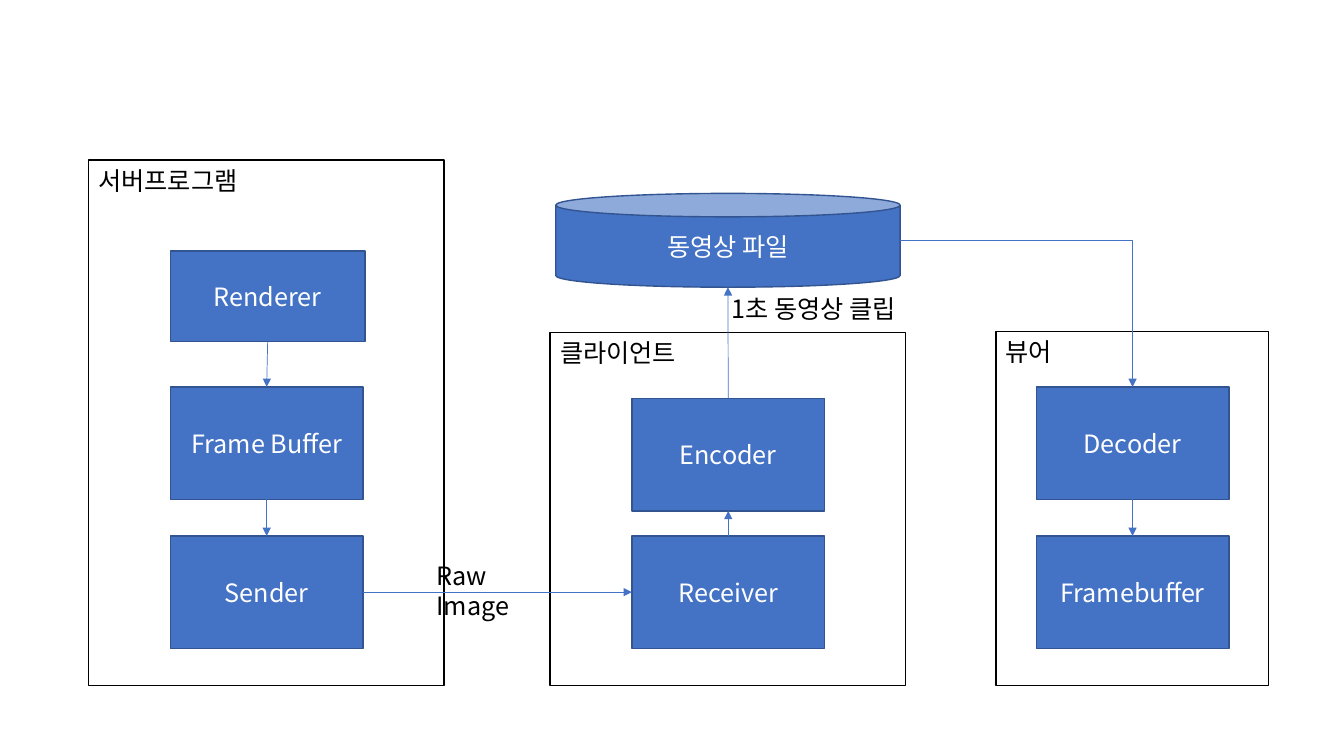
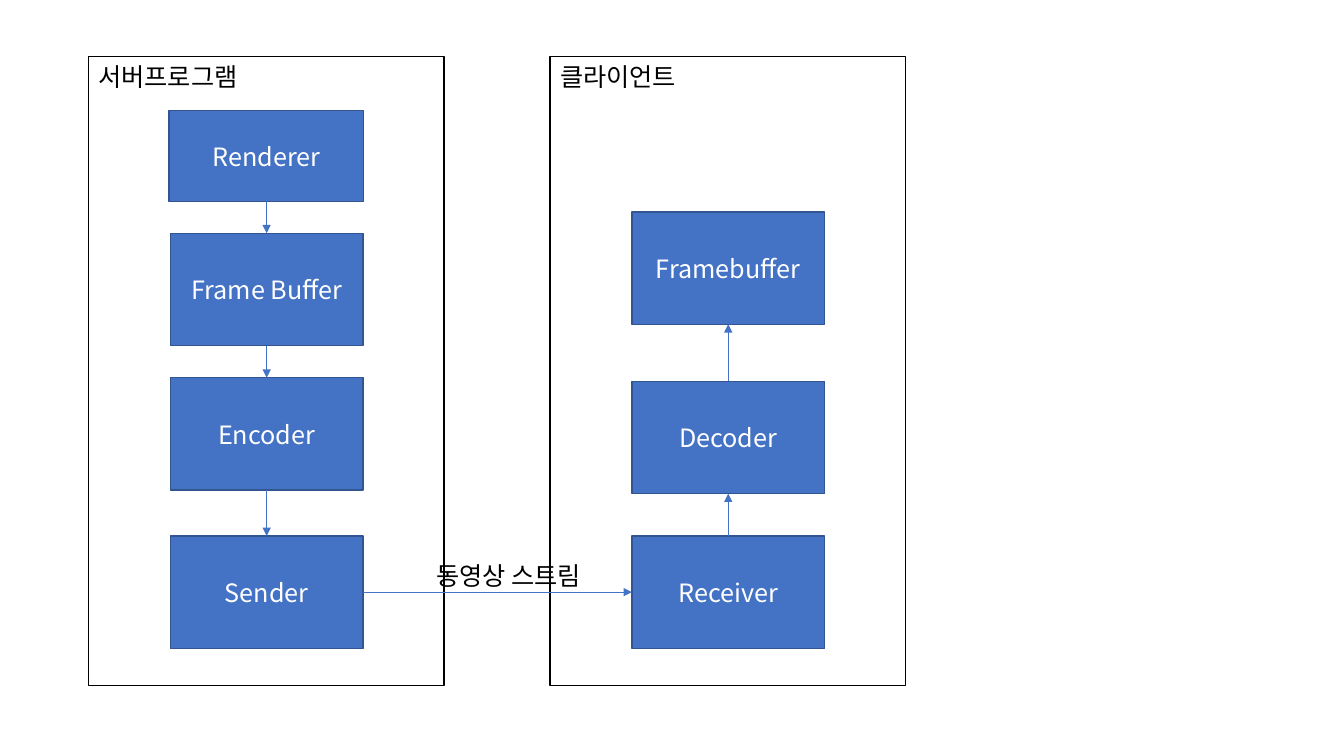
from lxml import etree
from pptx import Presentation
from pptx.dml.color import RGBColor
from pptx.enum import shapes, text
from pptx.oxml.ns import qn
from pptx.util import Pt

COLORS = {"fill": "4472C4", "edge": "325491", "ink": "000000", "light": "FFFFFF"}
FONT = "Noto Sans CJK KR"
TOP, LEFT, BOTTOM, RIGHT = range(4)
RECT = shapes.MSO_SHAPE.RECTANGLE
CAN = shapes.MSO_SHAPE.CAN

SERVER_X, CLIENT_X, VIEWER_X = 121.7, 451.4, 740.2
BOTTOM_ROW = 382.8
PANEL_BOTTOM = 489.6


def color(name):
    return RGBColor.from_string(COLORS[name])


class Diagram:
    """Holds the style and the slide being drawn."""

    def __init__(self):
        self.prs = Presentation()
        self.prs.slide_width, self.prs.slide_height = Pt(960), Pt(540)
        self.s = None

    def new_slide(self):
        self.s = self.prs.slides.add_slide(self.prs.slide_layouts[6])

    def add_text(self, sp, words, ink, align):
        p = sp.text_frame.paragraphs[0]
        p.alignment = align
        r = p.add_run()
        r.text = words
        r.font.size = Pt(18)
        r.font.name = FONT
        r.font.color.rgb = color(ink)
        ea = etree.SubElement(next(sp.element.iter(qn("a:rPr"))), qn("a:ea"))
        ea.set("typeface", FONT)

    def shape(self, kind, x, y, w, h, edge):
        sp = self.s.shapes.add_shape(kind, Pt(x), Pt(y), Pt(w), Pt(h))
        sp.shadow.inherit = False
        sp.line.color.rgb = color(edge)
        sp.line.width = Pt(1)
        return sp

    def panel(self, words, x, y, w=254):
        sp = self.shape(RECT, x, y, w, PANEL_BOTTOM - y, "ink")
        sp.fill.background()
        sp.text_frame.vertical_anchor = text.MSO_ANCHOR.TOP
        self.add_text(sp, words, "ink", text.PP_ALIGN.LEFT)

    def box(self, words, x, y, w=137.6, h=80.3, kind=RECT):
        sp = self.shape(kind, x, y, w, h, "edge")
        sp.fill.solid()
        sp.fill.fore_color.rgb = color("fill")
        sp.text_frame.vertical_anchor = text.MSO_ANCHOR.MIDDLE
        self.add_text(sp, words, "light", text.PP_ALIGN.CENTER)
        return sp

    def label(self, words, x, y, w):
        sp = self.s.shapes.add_textbox(Pt(x), Pt(y), Pt(w), Pt(29))
        sp.text_frame.word_wrap = False
        sp.text_frame.auto_size = text.MSO_AUTO_SIZE.SHAPE_TO_FIT_TEXT
        self.add_text(sp, words, "ink", text.PP_ALIGN.LEFT)

    def arrow(self, start, side, end, end_side, corner=False):
        """Join two shapes, with a single right-angle turn if corner is set."""
        kind = shapes.MSO_CONNECTOR.ELBOW if corner else shapes.MSO_CONNECTOR.STRAIGHT
        c = self.s.shapes.add_connector(kind, 0, 0, 0, 0)
        c.begin_connect(start, side)
        c.end_connect(end, end_side)
        for tag, sp in (("a:stCxn", start), ("a:endCxn", end)):
            if sp.auto_shape_type == CAN:  # a can has one extra site before its sides
                site = next(c.element.iter(qn(tag)))
                site.set("idx", str(int(site.get("idx")) + 1))
        if corner:
            next(c.element.iter(qn("a:prstGeom"))).set("prst", "bentConnector2")
        c.line.color.rgb = color("fill")
        c.line.width = Pt(0.5)
        tail = etree.SubElement(c.element.spPr.find(qn("a:ln")), qn("a:tailEnd"))
        tail.set("type", "triangle")
        etree.SubElement(c.element.spPr, qn("a:effectLst"))

    def chain(self, boxes, down=True):
        """Link each box to the next one in a column."""
        sides = (BOTTOM, TOP) if down else (TOP, BOTTOM)
        for start, end in zip(boxes, boxes[1:]):
            self.arrow(start, sides[0], end, sides[1])

    def transfer(self, sender, receiver, words, w):
        self.arrow(sender, RIGHT, receiver, LEFT)
        self.label(words, 304.6, 396.7, w)


def file_based(d):
    d.new_slide()
    d.panel("서버프로그램", 63.2, 114.4)
    d.panel("클라이언트", 393, 237.3)
    d.panel("뷰어", 711.3, 236.9, 194.6)
    renderer = d.box("Renderer", SERVER_X, 179.2, 139, 64.8)
    buffer = d.box("Frame Buffer", SERVER_X, 276.4)
    sender = d.box("Sender", SERVER_X, BOTTOM_ROW)
    receiver = d.box("Receiver", CLIENT_X, BOTTOM_ROW)
    encoder = d.box("Encoder", CLIENT_X, 284.6)
    video = d.box("동영상 파일", 397, 138.2, 246, 67, CAN)
    decoder = d.box("Decoder", VIEWER_X, 276.4)
    screen = d.box("Framebuffer", VIEWER_X, BOTTOM_ROW)
    d.chain([renderer, buffer, sender])
    d.chain([receiver, encoder, video], down=False)
    d.chain([decoder, screen])
    d.arrow(video, RIGHT, decoder, TOP, corner=True)
    d.transfer(sender, receiver, "Raw Image", 105.8)
    d.label("1초 동영상 클립", 515.5, 205.9, 146.2)


def stream_based(d):
    d.new_slide()
    d.panel("서버프로그램", 63.2, 40.4)
    d.panel("클라이언트", 393, 40.4)
    renderer = d.box("Renderer", 120.8, 79.1, 139, 64.8)
    buffer, encoder, sender = [
        d.box(words, SERVER_X, y)
        for words, y in (("Frame Buffer", 166.6), ("Encoder", 269.8), ("Sender", BOTTOM_ROW))]
    receiver, decoder, screen = [
        d.box(words, CLIENT_X, y)
        for words, y in (("Receiver", BOTTOM_ROW), ("Decoder", 272.3), ("Framebuffer", 151.3))]
    d.chain([renderer, buffer, encoder, sender])
    d.chain([receiver, decoder, screen], down=False)
    d.transfer(sender, receiver, "동영상 스트림", 130.3)


def main():
    d = Diagram()
    file_based(d)
    stream_based(d)
    d.prs.save("out.pptx")


if __name__ == "__main__":
    main()
